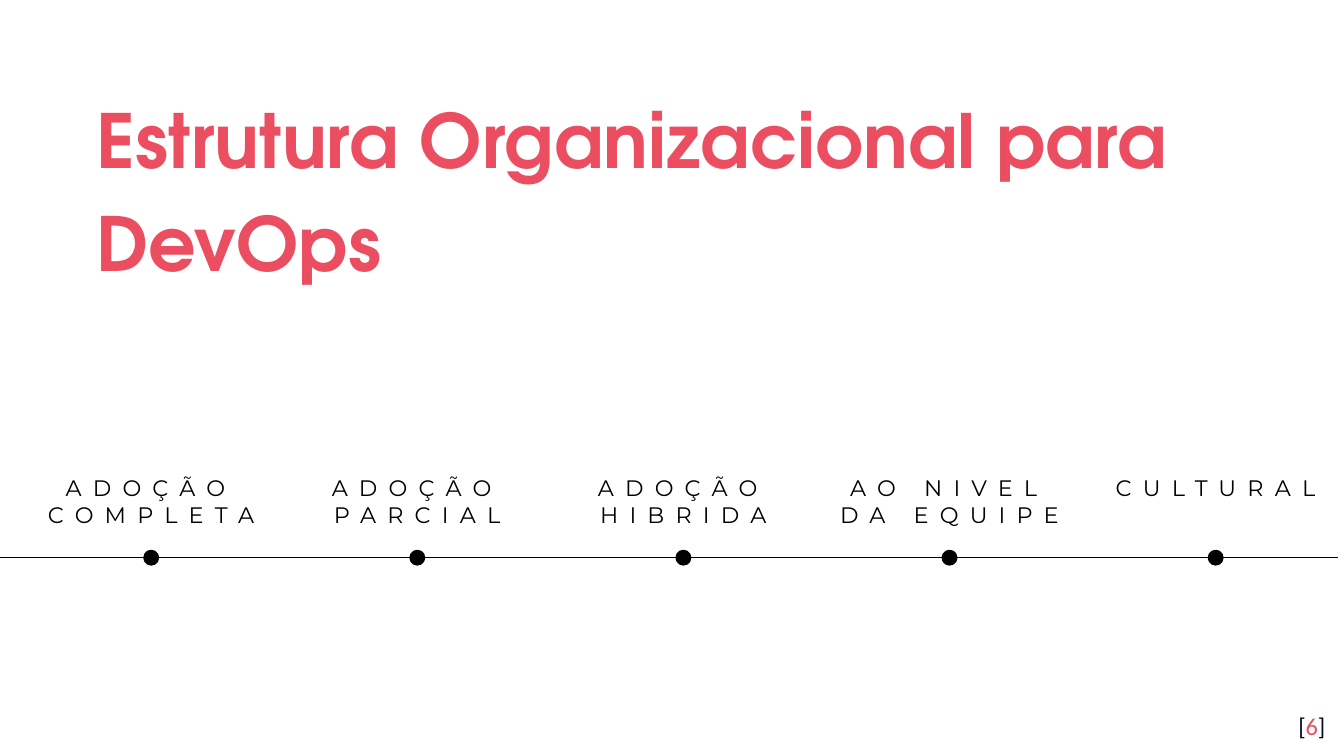
from copy import deepcopy

from lxml import etree
from pptx import Presentation
from pptx.dml.color import RGBColor
from pptx.enum import shapes, text
from pptx.oxml.ns import qn
from pptx.util import Pt

# Content
TITLE = "Estrutura Organizacional para DevOps"
STAGES = [
    ["ADOÇÃO", "COMPLETA"],
    ["ADOÇÃO", "PARCIAL"],
    ["ADOÇÃO", "HIBRIDA"],
    ["AO NIVEL", "DA EQUIPE"],
    ["CULTURAL"],
]
RED, NAVY, BLACK, WHITE = "EA4E60", "040A24", "000000", "FFFFFF"
PAGE_NUMBER = [("[", NAVY), ("6", RED), ("]", NAVY)]

# Layout in points
SLIDE_WIDTH, SLIDE_HEIGHT = 720, 405
LINE_Y, LINE_END = 298.8, 717
FIRST_CENTER, STAGE_GAP = 81, 142.56
DOT_SIZE = 6.5
LABEL_WIDTH, LABEL_TOP = 168.5, 250.6
LABEL_LINE, LABEL_PADDING = 14.4, 7.2


def color(value):
    return RGBColor.from_string(value)


def add_text(parent, lines, left, top, width, height, font="Calibri", size=12,
             bold=None, align=text.PP_ALIGN.LEFT, line_spacing=None,
             letter_spacing=None, inset=None, grow=False):
    """Add one paragraph; each line is a list of (text, colour) runs."""
    box = parent.add_textbox(Pt(left), Pt(top), Pt(width), Pt(height))
    frame = box.text_frame
    frame.word_wrap = True
    if grow:
        frame.auto_size = text.MSO_AUTO_SIZE.SHAPE_TO_FIT_TEXT
    if inset is not None:
        frame.margin_left = frame.margin_right = Pt(inset)
        frame.margin_top = frame.margin_bottom = Pt(inset)
    paragraph = frame.paragraphs[0]
    paragraph.alignment = align
    if line_spacing:
        paragraph.line_spacing = line_spacing
    for index, line in enumerate(lines):
        if index:
            # A break keeps the format of the run before it
            paragraph.add_line_break()
            line_break = paragraph._p.findall(qn("a:br"))[-1]
            line_break.append(deepcopy(run.font._element))
        for words, run_color in line:
            run = paragraph.add_run()
            run.text = words
            run.font.name, run.font.size, run.font.bold = font, Pt(size), bold
            run.font.color.rgb = color(run_color)
            if letter_spacing:
                run.font._element.set("spc", str(letter_spacing * 100))
    return box


presentation = Presentation()
presentation.slide_width = Pt(SLIDE_WIDTH)
presentation.slide_height = Pt(SLIDE_HEIGHT)
slide = presentation.slides.add_slide(presentation.slide_layouts[6])
slide.background.fill.solid()
slide.background.fill.fore_color.rgb = color(WHITE)

# Title and page number
add_text(slide.shapes, [[(TITLE, RED)]], 44.6, 36, 631.4, 99.4,
         font="TeX Gyre Adventor", size=40, bold=True, line_spacing=1.15, inset=7.2)
add_text(slide.shapes, [PAGE_NUMBER], 673.9, 373.7, 43.2, 31,
         size=13, align=text.PP_ALIGN.RIGHT, inset=7.2)

# Timeline
timeline = slide.shapes.add_connector(
    shapes.MSO_CONNECTOR.STRAIGHT, Pt(0), Pt(LINE_Y), Pt(LINE_END), Pt(LINE_Y))
timeline.line.color.rgb = color(BLACK)
timeline.line.width = Pt(0.75)
etree.SubElement(timeline._element.spPr, qn("a:effectLst"))

# Stages: a dot on the line with its label above
for index, stage in enumerate(STAGES):
    center = FIRST_CENTER + index * STAGE_GAP
    group = slide.shapes.add_group_shape()
    dot = group.shapes.add_shape(
        shapes.MSO_SHAPE.OVAL, Pt(center - DOT_SIZE / 2), Pt(LINE_Y - DOT_SIZE / 2),
        Pt(DOT_SIZE), Pt(DOT_SIZE))
    dot.shadow.inherit = False
    dot.fill.solid()
    dot.fill.fore_color.rgb = color(BLACK)
    dot.line.color.rgb = color(BLACK)
    dot.line.width = Pt(2)
    add_text(group.shapes, [[(line, BLACK)] for line in stage],
             center - LABEL_WIDTH / 2, LABEL_TOP, LABEL_WIDTH,
             LABEL_PADDING + LABEL_LINE * len(stage), font="Montserrat",
             align=text.PP_ALIGN.CENTER, letter_spacing=6, grow=True)

presentation.save("out.pptx")
